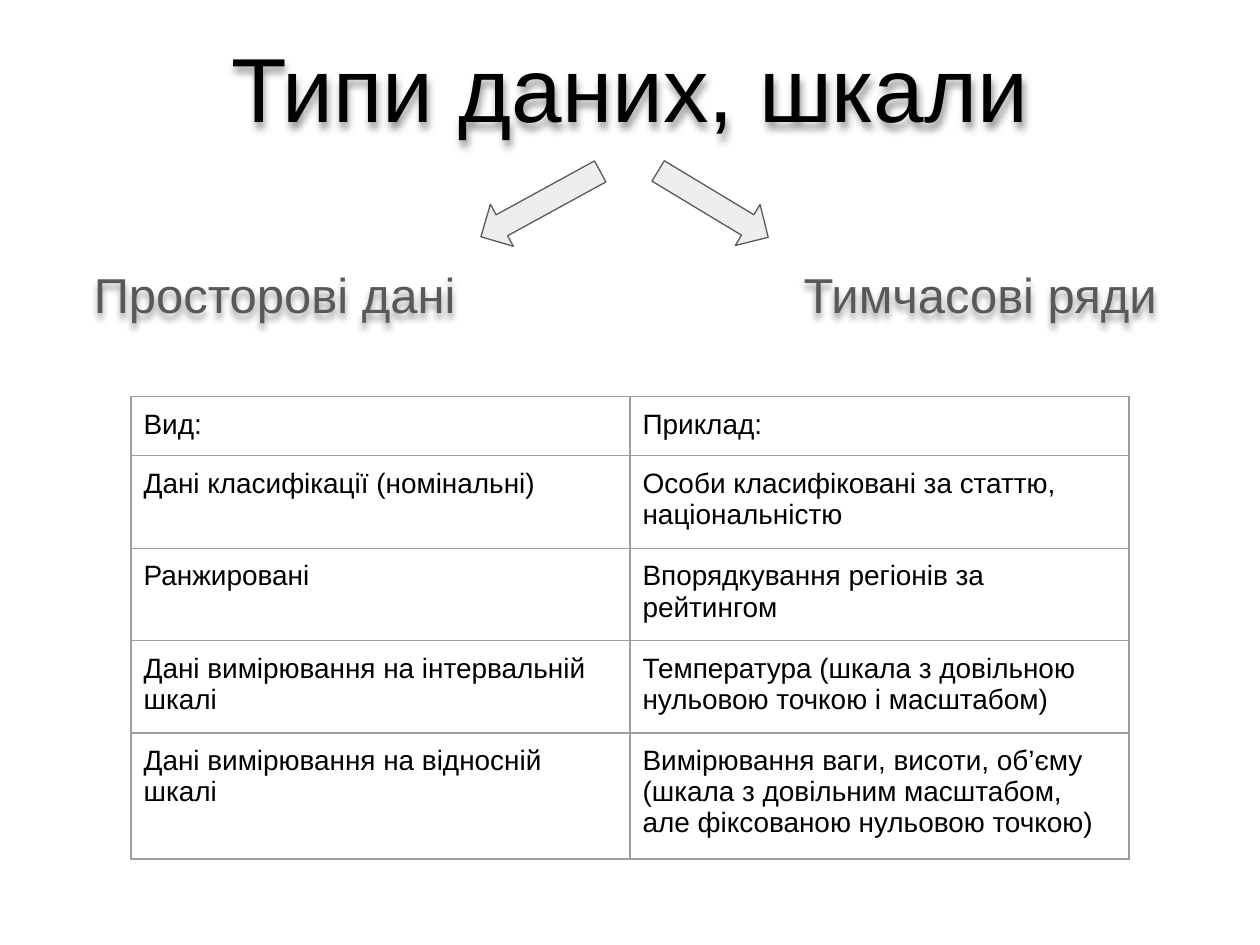
from lxml import etree
from pptx import Presentation, util as u
from pptx.dml.color import RGBColor
from pptx.enum import shapes, text
from pptx.oxml import parse_xml
from pptx.oxml.ns import nsdecls

COLS, ROWS = 100, 75
FONT = "Arial"
BLACK, GREY, PALE, BORDER = "000000", "595959", "EEEEEE", "9E9E9E"

prs = Presentation()
prs.slide_width, prs.slide_height = u.Inches(10), u.Inches(7.5)


def color(value):
    return RGBColor.from_string(value)


def grid(box):
    cell_w, cell_h = prs.slide_width / COLS, prs.slide_height / ROWS
    return [u.Emu(round(n * size)) for n, size in zip(box, (cell_w, cell_h) * 2)]


def style(p, size, ink):
    p.font.name, p.font.size = FONT, u.Pt(size)
    p.font.color.rgb = color(ink)


def add_shadow(sp):
    sp._element.spPr.append(parse_xml(
        f'<a:effectLst {nsdecls("a")}>'
        '<a:outerShdw blurRad="50800" dist="38100" dir="5400000" rotWithShape="0">'
        f'<a:srgbClr val="{BLACK}"><a:alpha val="40000"/></a:srgbClr>'
        '</a:outerShdw></a:effectLst>'))


def heading(s, box, words, size, ink, anchor):
    sp = s.shapes.add_textbox(*grid(box))
    tf = sp.text_frame
    tf.word_wrap = True
    tf.vertical_anchor = anchor
    tf.margin_left = tf.margin_right = tf.margin_top = tf.margin_bottom = u.Inches(0.1)
    p = tf.paragraphs[0]
    p.text = words
    p.alignment = text.PP_ALIGN.CENTER
    style(p, size, ink)
    add_shadow(sp)


def arrow(s, box, angle):
    sp = s.shapes.add_shape(shapes.MSO_SHAPE.DOWN_ARROW, *grid(box))
    sp.rotation = angle
    sp.shadow.inherit = False
    sp.fill.solid()
    sp.fill.fore_color.rgb = color(PALE)
    sp.line.color.rgb = color(GREY)
    sp.line.width = u.Pt(0.75)


def add_borders(cell):
    tc_pr = cell._tc.get_or_add_tcPr()
    for side in ("lnL", "lnR", "lnT", "lnB"):
        tc_pr.append(parse_xml(
            f'<a:{side} {nsdecls("a")} w="{u.Pt(0.75)}"><a:solidFill>'
            f'<a:srgbClr val="{BORDER}"/></a:solidFill></a:{side}>'))


def scale_table(s, box, rows, heights):
    table = s.shapes.add_table(len(rows), len(rows[0]), *grid(box)).table
    table.first_row = table.horz_banding = False
    for row, height, words in zip(table.rows, heights, rows):
        row.height = grid((0, height))[1]
        for cell, word in zip(row.cells, words):
            cell.margin_left = cell.margin_right = u.Inches(0.1)
            cell.margin_top = cell.margin_bottom = u.Inches(0.1)
            add_borders(cell)
            cell.fill.background()
            p = cell.text_frame.paragraphs[0]
            p.text = word
            style(p, 16, BLACK)


def main():
    s = prs.slides.add_slide(prs.slide_layouts[6])
    heading(s, (3.4, 2, 93.2, 10.2), "Типи даних, шкали", 52, BLACK,
            text.MSO_ANCHOR.BOTTOM)
    for left, words in ((5.1, "Просторові дані"), (61.1, "Тимчасові ряди")):
        heading(s, (left, 20, 33.4, 11.6), words, 28, GREY, text.MSO_ANCHOR.TOP)
    scale_table(s, (10.4, 31.5, 79.2, 34.5), [
        ("Вид:", "Приклад:"),
        ("Дані класифікації (номінальні)",
         "Особи класифіковані за статтю, національністю"),
        ("Ранжировані", "Впорядкування регіонів за рейтингом"),
        ("Дані вимірювання на інтервальній шкалі",
         "Температура (шкала з довільною нульовою точкою і масштабом)"),
        ("Дані вимірювання на відносній шкалі",
         "Вимірювання ваги, висоти, об’єму (шкала з довільним масштабом, "
         "але фіксованою нульовою точкою)"),
    ], (4.4, 6.9, 6.9, 6.9, 9.4))
    arrow(s, (41, 10.8, 3.8, 10.8), 61.3)
    arrow(s, (54.7, 11.1, 3.8, 10.2), 301.1)
    prs.save("out.pptx")


if __name__ == "__main__":
    main()
